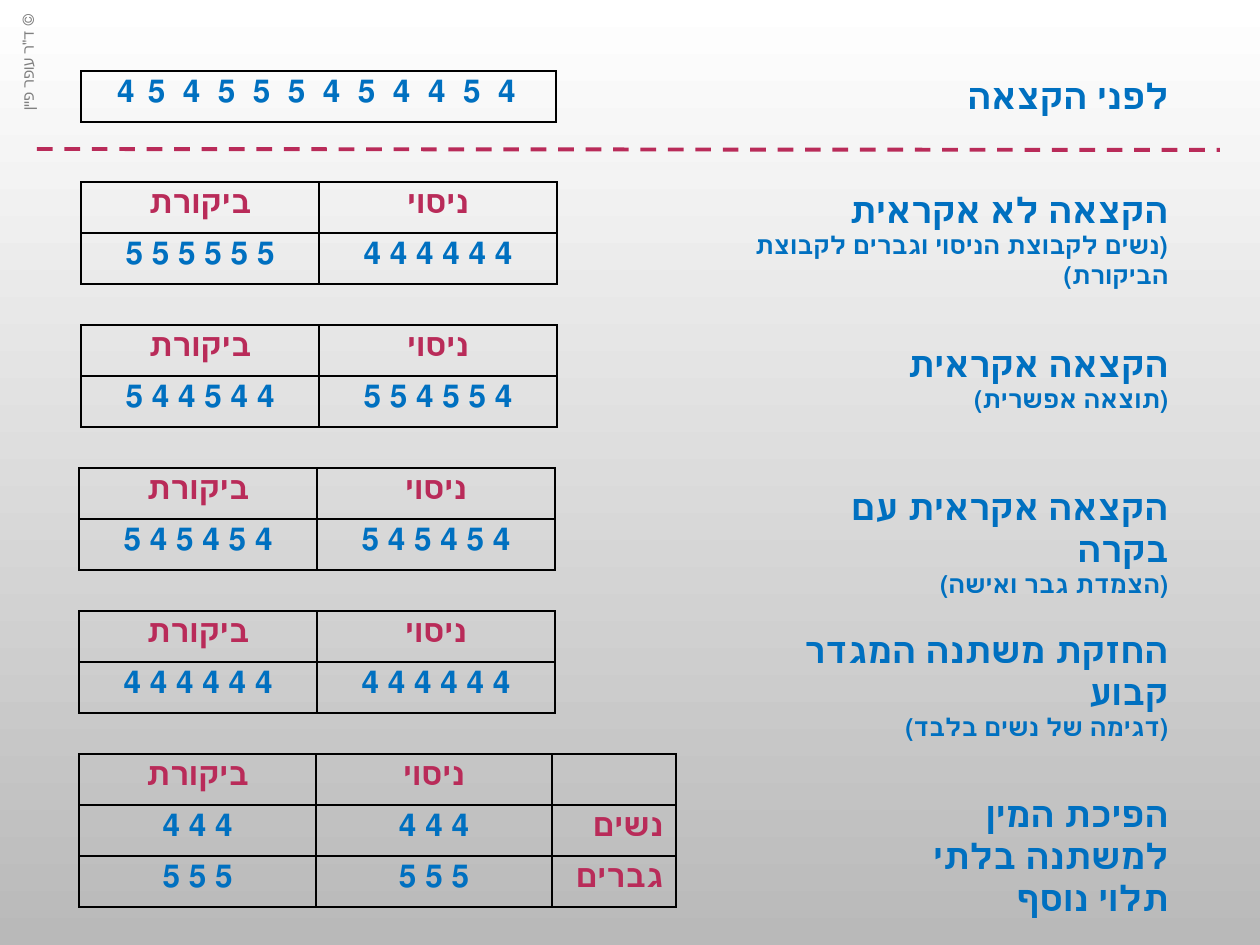
from lxml import etree
from pptx import Presentation
from pptx import util as u
from pptx.dml.color import RGBColor
from pptx.enum import dml, shapes, text
from pptx.oxml import parse_xml
from pptx.oxml.ns import nsdecls, qn

SCALE = 914400 / 126
BLUE = RGBColor(0x00, 0x70, 0xC0)
CRIMSON = RGBColor(0xB9, 0x2B, 0x59)
GREY = RGBColor(0x80, 0x80, 0x80)
WHITE = RGBColor(0xFF, 0xFF, 0xFF)
SILVER = RGBColor(0xB9, 0xB9, 0xB9)
CENTER, RIGHT = text.PP_ALIGN.CENTER, text.PP_ALIGN.RIGHT


def px(value):
    return u.Emu(round(value * SCALE))


def write(paragraph, content, size=18, color=BLUE, bold=True, align=CENTER, spacing=0):
    paragraph.alignment = align
    paragraph._p.get_or_add_pPr().set("rtl", "1")
    run = paragraph.add_run()
    run.text = content
    run.font.name = "Arial"
    run.font.size = u.Pt(size)
    run.font.bold = bold
    run.font.color.rgb = color
    if spacing:
        run._r.get_or_add_rPr().set("spc", str(spacing))


class AllocationSlide:
    label_right = 1181
    row_height = 51

    def __init__(self, presentation):
        self.slide = presentation.slides.add_slide(presentation.slide_layouts[6])

    def background(self, top, bottom):
        fill = self.slide.background.fill
        fill.gradient()
        fill.gradient_angle = 270
        for stop, color in zip(fill.gradient_stops, (top, bottom)):
            stop.color.rgb = color

    def text_box(self, left, top, width, height, lines, rotation=0, **style):
        box = self.slide.shapes.add_textbox(px(left), px(top), px(width), px(height))
        box.rotation = rotation
        frame = box.text_frame
        frame.word_wrap = True
        frame.auto_size = text.MSO_AUTO_SIZE.SHAPE_TO_FIT_TEXT
        for index, (content, size) in enumerate(lines):
            paragraph = frame.add_paragraph() if index else frame.paragraphs[0]
            write(paragraph, content, size=size, **style)

    def label(self, top, width, height, title, note=None):
        lines = [(title, 20)] + ([(note, 14)] if note else [])
        self.text_box(self.label_right - width, top, width, height, lines, align=RIGHT)

    def table(self, left, top, widths, rows, header=True, spacing=0):
        frame = self.slide.shapes.add_table(
            len(rows), len(widths), px(left), px(top),
            px(sum(widths)), px(self.row_height * len(rows)))
        table = frame.table
        table.first_row = table.horz_banding = False
        for column, width in zip(table.columns, widths):
            column.width = px(width)
        for row_index, row in enumerate(rows):
            table.rows[row_index].height = px(self.row_height)
            for column_index, content in enumerate(row):
                cell = table.cell(row_index, column_index)
                self.outline(cell)
                if content:
                    side_heading = column_index == 2
                    heading = side_heading or (header and row_index == 0)
                    write(cell.text_frame.paragraphs[0], content,
                          color=CRIMSON if heading else BLUE,
                          align=RIGHT if side_heading else CENTER, spacing=spacing)

    def outline(self, cell):
        properties = cell._tc.get_or_add_tcPr()
        for side in "LRTB":
            properties.append(parse_xml(
                f'<a:ln{side} {nsdecls("a")} w="12700"><a:solidFill>'
                f'<a:srgbClr val="000000"/></a:solidFill></a:ln{side}>'))
        cell.fill.background()

    def dashed_line(self, x1, y1, x2, y2):
        line = self.slide.shapes.add_connector(
            shapes.MSO_CONNECTOR.STRAIGHT, px(x1), px(y1), px(x2), px(y2))
        line.line.color.rgb = CRIMSON
        line.line.width = u.Pt(2.25)
        line.line.dash_style = dml.MSO_LINE.DASH
        etree.SubElement(line._element.spPr, qn("a:effectLst"))


def main():
    presentation = Presentation()
    presentation.slide_width, presentation.slide_height = px(1260), px(945)
    page = AllocationSlide(presentation)
    page.background(WHITE, SILVER)
    page.text_box(-35, 47, 125, 31, [('© ד"ר עופר פיין', 9)],
                  rotation=270, color=GREY, bold=False)

    page.label(68, 324, 54, "לפני הקצאה")
    page.table(81, 71, [475], [["4 5 4 4 5 4 5 5 5 4 5 4"]], header=False, spacing=250)
    page.dashed_line(37, 149, 1220, 150)

    page.label(182, 506, 84, "הקצאה לא אקראית",
               "(נשים לקבוצת הניסוי וגברים לקבוצת הביקורת)")
    page.label(336, 324, 84, "הקצאה אקראית", "(תוצאה אפשרית)")
    page.label(479, 404, 84, "הקצאה אקראית עם בקרה", "(הצמדת גבר ואישה)")
    page.label(622, 456, 84, "החזקת משתנה המגדר קבוע", "(דגימה של נשים בלבד)")
    page.label(786, 324, 97, "הפיכת המין למשתנה בלתי תלוי נוסף")

    first_top, step = 182, 143
    headings = ["ביקורת", "ניסוי"]
    groups = [
        (81, "5 5 5 5 5 5", "4 4 4 4 4 4"),
        (81, "4 4 5 4 4 5", "4 5 5 4 5 5"),
        (79, "4 5 4 5 4 5", "4 5 4 5 4 5"),
        (79, "4 4 4 4 4 4", "4 4 4 4 4 4"),
    ]
    for index, (left, control, experiment) in enumerate(groups):
        page.table(left, first_top + index * step, [238, 238],
                   [headings, [control, experiment]])
    page.table(79, first_top + len(groups) * step, [237, 236, 124], [
        headings + [""],
        ["4 4 4", "4 4 4", "נשים"],
        ["5 5 5", "5 5 5", "גברים"],
    ])
    presentation.save("out.pptx")


if __name__ == "__main__":
    main()
